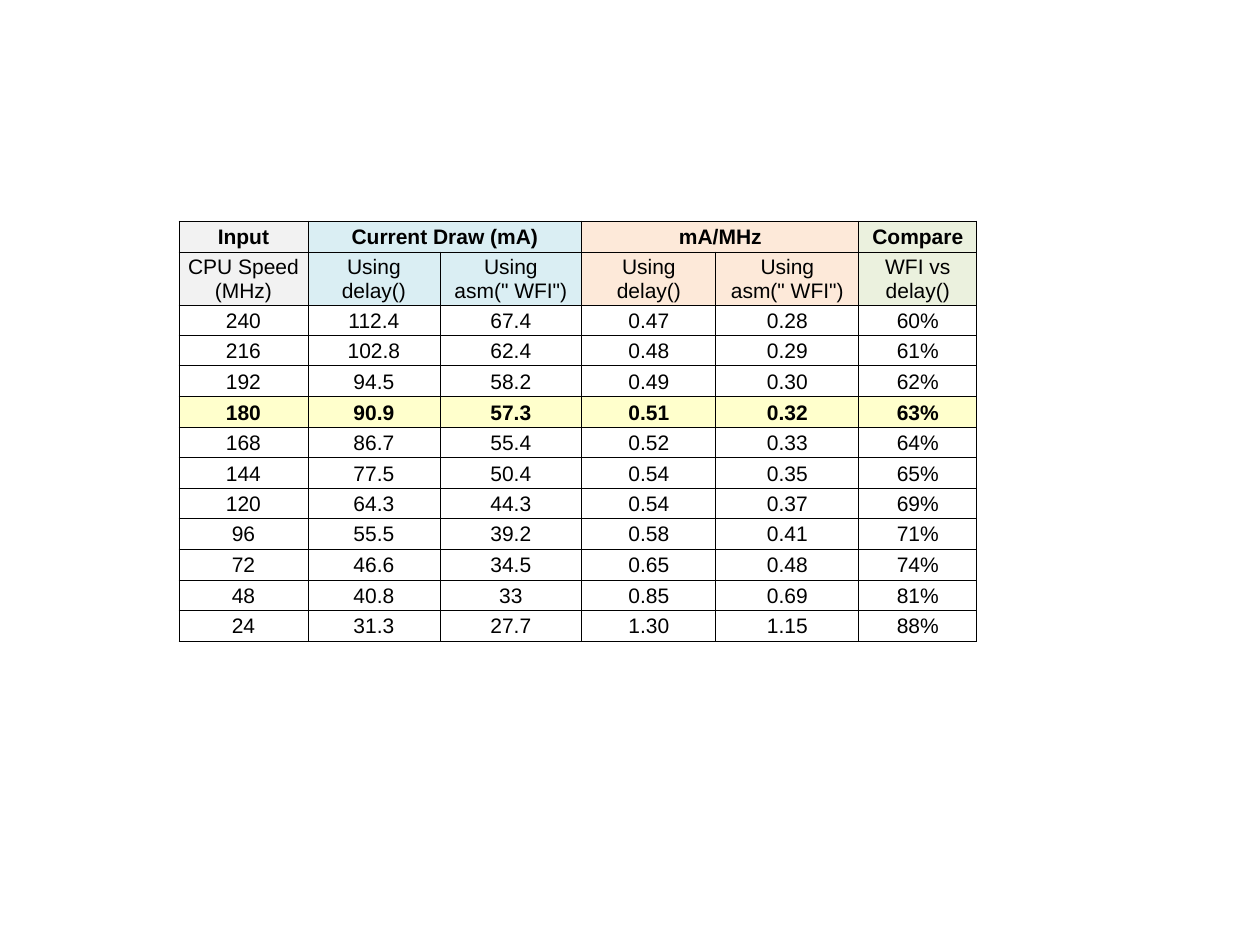
import copy
import pptx
import pptx.util
import pptx.dml.color
import pptx.enum.text
import pptx.oxml
import pptx.oxml.ns

RGB = pptx.dml.color.RGBColor
BLACK = RGB(0x00, 0x00, 0x00)
WHITE = RGB(0xFF, 0xFF, 0xFF)
GREY = RGB(0xF2, 0xF2, 0xF2)
BLUE = RGB(0xDA, 0xEE, 0xF3)
PEACH = RGB(0xFD, 0xE9, 0xD9)
GREEN = RGB(0xEB, 0xF1, 0xDE)
YELLOW = RGB(0xFF, 0xFF, 0xCC)

PX = 914400 // 126
FONT = "Arial"
SIZE = pptx.util.Pt(12)
EDGE = pptx.util.Pt(0.5)

BOX = (179, 221, 798, 421)
WIDTHS = [129, 132, 142, 134, 143, 118]
HEADS = [31, 53]
TINTS = [GREY, BLUE, BLUE, PEACH, PEACH, GREEN]
SPANS = [(1, 2), (3, 4)]
BEST = "180"
ROWS = [
    ["Input", "Current Draw (mA)", "", "mA/MHz", "", "Compare"],
    ["CPU Speed (MHz)", "Using\vdelay()", 'Using\vasm(" WFI")',
     "Using\vdelay()", 'Using\vasm(" WFI")', "WFI vs delay()"],
    ["240", "112.4", "67.4", "0.47", "0.28", "60%"],
    ["216", "102.8", "62.4", "0.48", "0.29", "61%"],
    ["192", "94.5", "58.2", "0.49", "0.30", "62%"],
    ["180", "90.9", "57.3", "0.51", "0.32", "63%"],
    ["168", "86.7", "55.4", "0.52", "0.33", "64%"],
    ["144", "77.5", "50.4", "0.54", "0.35", "65%"],
    ["120", "64.3", "44.3", "0.54", "0.37", "69%"],
    ["96", "55.5", "39.2", "0.58", "0.41", "71%"],
    ["72", "46.6", "34.5", "0.65", "0.48", "74%"],
    ["48", "40.8", "33", "0.85", "0.69", "81%"],
    ["24", "31.3", "27.7", "1.30", "1.15", "88%"],
]


def px(n):
    return pptx.util.Emu(n * PX)


def rule(cell):
    """Draw a thin line on all four sides of a cell."""
    props = cell._tc.get_or_add_tcPr()
    for side in "LRTB":
        props.append(pptx.oxml.parse_xml(
            f'<a:ln{side} {pptx.oxml.ns.nsdecls("a")} w="{EDGE}">'
            f'<a:solidFill><a:srgbClr val="{BLACK}"/></a:solidFill>'
            f'</a:ln{side}>'))


def write(cell, text, bold):
    cell.vertical_anchor = pptx.enum.text.MSO_ANCHOR.MIDDLE
    cell.margin_left = cell.margin_right = cell.margin_top = px(1)
    cell.margin_bottom = 0
    cell.text_frame.text = text
    para = cell.text_frame.paragraphs[0]
    para.alignment = pptx.enum.text.PP_ALIGN.CENTER
    for run in para.runs:
        run.font.name = FONT
        run.font.size = SIZE
        run.font.bold = bold
        run.font.color.rgb = BLACK
    # A line break takes the size of the text around it.
    for gap in para._p.findall(pptx.oxml.ns.qn("a:br")):
        gap.append(copy.deepcopy(para.runs[0]._r.rPr))


def heights(total):
    """Share what the two heading rows leave among the data rows."""
    count = len(ROWS) - len(HEADS)
    rest = total - sum(HEADS)
    stops = [round(rest * i / count) for i in range(count + 1)]
    return HEADS + [b - a for a, b in zip(stops, stops[1:])]


def grid(slide, box):
    frame = slide.shapes.add_table(len(ROWS), len(WIDTHS), *map(px, box))
    table = frame.table
    table.first_row = table.horz_banding = False
    for col, width in zip(table.columns, WIDTHS):
        col.width = px(width)
    for row, height in zip(table.rows, heights(box[3])):
        row.height = px(height)
    for r, texts in enumerate(ROWS):
        best = texts[0] == BEST
        for c, text in enumerate(texts):
            cell = table.cell(r, c)
            write(cell, text, r == 0 or best)
            rule(cell)
            cell.fill.solid()
            plain = YELLOW if best else WHITE
            cell.fill.fore_color.rgb = TINTS[c] if r < len(HEADS) else plain
    for first, last in SPANS:
        table.cell(0, first).merge(table.cell(0, last))


def main():
    deck = pptx.Presentation()
    deck.slide_width = pptx.util.Inches(10)
    deck.slide_height = pptx.util.Inches(7.5)
    slide = deck.slides.add_slide(deck.slide_layouts[6])
    grid(slide, BOX)
    deck.save("out.pptx")


if __name__ == "__main__":
    main()
